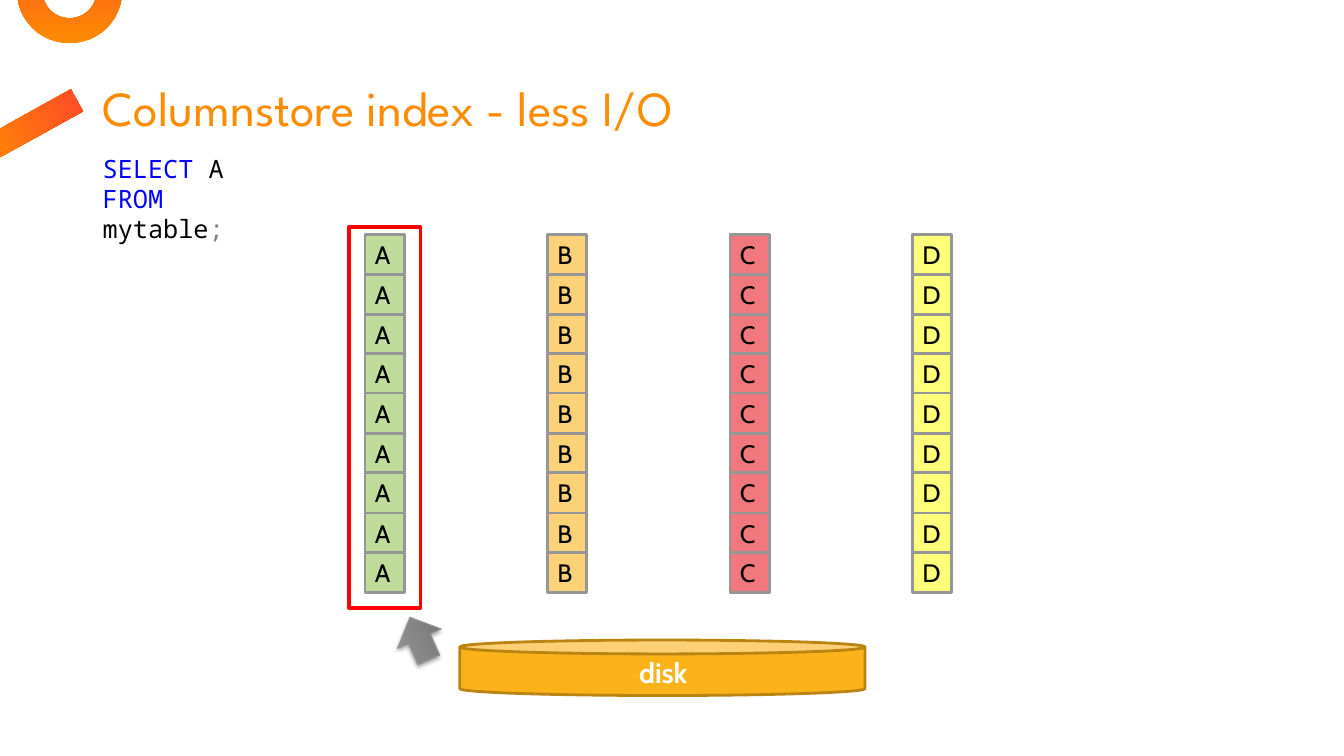
from typing import NamedTuple

from lxml import etree
from pptx import Presentation
from pptx.dml.color import RGBColor
from pptx.enum.shapes import MSO_SHAPE as Preset
from pptx.enum.text import MSO_ANCHOR as Anchor, MSO_AUTO_SIZE as AutoSize, PP_ALIGN as Align
from pptx.oxml import parse_xml
from pptx.oxml.ns import nsdecls
from pptx.shapes.autoshape import Shape
from pptx.shapes.shapetree import GroupShapes, SlideShapes
from pptx.slide import Slide
from pptx.text.text import Font
from pptx.util import Emu, Pt

PX = 9144  # 100 px to the inch
COLORS = {
    "orange": "FF8C00", "flame": "FF4B28",
    "green": "C0DC9B", "apricot": "FDD175", "rose": "F1797E", "yellow": "FFFF79",
    "cell line": "969696", "highlight": "FF0000",
    "disk": "FCB219", "disk line": "BA8412",
    "arrow dark": "707070", "arrow light": "919191", "arrow line": "939393",
    "black": "000000", "white": "FFFFFF", "keyword": "0000FF", "symbol": "808080",
}
BODY_FONT, TITLE_FONT, CODE_FONT = "Cabin", "League Spartan", "Noto Sans Mono"
ROWS, FIRST_TOP, LAST_TOP = 9, 233, 548
CELL_WIDTH, CELL_HEIGHT = 39, 40
FIRST_LEFT, COLUMN_STEP = 362, 181


class Box(NamedTuple):
    left: int
    top: int
    width: int
    height: int

    def emu(self) -> list[Emu]:
        return [Emu(length * PX) for length in self]


class Column(NamedTuple):
    letter: str
    color: str


class Span(NamedTuple):
    text: str
    color: str


COLUMNS = [Column("A", "green"), Column("B", "apricot"),
           Column("C", "rose"), Column("D", "yellow")]
QUERY = [
    [Span("SELECT", "keyword"), Span(" A", "black")],
    [Span("FROM ", "keyword"), Span("mytable", "black"), Span(";", "symbol")],
]


def rgb(name: str) -> RGBColor:
    return RGBColor.from_string(COLORS[name])


def style_font(font: Font, name: str, size: int, color: str) -> None:
    font.name, font.size = name, Pt(size)
    font.color.rgb = rgb(color)


def add_preset(shapes: SlideShapes | GroupShapes, preset: Preset, box: Box,
               fill: str = "", line: str = "", weight: float = 2) -> Shape:
    """Add a shape without shadow; an empty colour name means no fill or no line."""
    shape = shapes.add_shape(preset, *box.emu())
    shape.shadow.inherit = False
    if fill:
        shape.fill.solid()
        shape.fill.fore_color.rgb = rgb(fill)
    else:
        shape.fill.background()
    if line:
        shape.line.color.rgb = rgb(line)
        shape.line.width = Pt(weight)
    else:
        shape.line.fill.background()
    return shape


def fill_upward(shape: Shape, bottom: str, top: str, end: float = 1) -> None:
    """Blend two colours from the bottom of the unrotated shape to its top."""
    shape.fill.gradient()
    shape.fill.gradient_angle = 90
    for stop, color, position in zip(shape.fill.gradient_stops, (bottom, top), (0, end)):
        stop.color.rgb = rgb(color)
        stop.position = position


def add_decoration(slide: Slide) -> None:
    ring = add_preset(slide.shapes, Preset.DONUT, Box(17, -61, 104, 104))
    ring.adjustments[0] = 0.24
    bar = add_preset(slide.shapes, Preset.RECTANGLE, Box(17, 72, 25, 107))
    bar.rotation = 61
    for shape in (ring, bar):
        fill_upward(shape, "orange", "flame")


def set_title(slide: Slide) -> None:
    title = slide.shapes.title
    title.left, title.top, title.width, title.height = Box(92, 53, 1150, 88).emu()
    frame = title.text_frame
    frame.text = "Columnstore index - less I/O"
    frame.vertical_anchor = Anchor.BOTTOM
    frame.auto_size = AutoSize.NONE
    para = frame.paragraphs[0]
    para.alignment = Align.LEFT
    para.line_spacing = 0.9
    style_font(para.font, TITLE_FONT, 35, "orange")


def add_disk(slide: Slide) -> None:
    shapes = slide.shapes.add_group_shape().shapes
    add_preset(shapes, Preset.CAN, Box(456, 635, 402, 55), "disk", "disk line")
    frame = shapes.add_textbox(*Box(624, 645, 79, 44).emu()).text_frame
    frame.word_wrap = True
    frame.text = "disk"
    font = frame.paragraphs[0].font
    style_font(font, BODY_FONT, 20, "white")
    font.bold = True


def add_column(slide: Slide, column: Column, left: int) -> None:
    shapes = slide.shapes.add_group_shape().shapes
    for row in range(ROWS):
        top = round(FIRST_TOP + row * (LAST_TOP - FIRST_TOP) / (ROWS - 1))
        cell = add_preset(shapes, Preset.RECTANGLE,
                          Box(left, top, CELL_WIDTH, CELL_HEIGHT), column.color, "cell line")
        frame = cell.text_frame
        frame.vertical_anchor = Anchor.TOP
        frame.text = column.letter
        para = frame.paragraphs[0]
        para.alignment = Align.LEFT
        style_font(para.font, BODY_FONT, 18, "black")


def add_arrow(slide: Slide) -> None:
    arrow = add_preset(slide.shapes, Preset.RIGHT_ARROW, Box(393, 610, 46, 47),
                       line="arrow line", weight=0.75)
    arrow.rotation = 246.1
    fill_upward(arrow, "arrow dark", "arrow light", 0.8)
    effects = arrow._element.spPr.find("{*}effectLst")
    shadow = parse_xml(
        f'<a:outerShdw {nsdecls("a")} blurRad="{Pt(3.1)}" dist="{Pt(1.8)}" '
        'dir="5400000" rotWithShape="0"/>')
    color = etree.SubElement(shadow, "{%s}srgbClr" % shadow.nsmap["a"], val=COLORS["black"])
    etree.SubElement(color, "{%s}alpha" % shadow.nsmap["a"], val="35000")
    effects.append(shadow)


def add_query(slide: Slide) -> None:
    frame = slide.shapes.add_textbox(*Box(92, 147, 210, 71).emu()).text_frame
    frame.word_wrap = True
    for index, spans in enumerate(QUERY):
        para = frame.add_paragraph() if index else frame.paragraphs[0]
        for span in spans:
            run = para.add_run()
            run.text = span.text
            style_font(run.font, CODE_FONT, 18, span.color)


def main() -> None:
    deck = Presentation()
    deck.slide_width, deck.slide_height = Emu(1333 * PX), Emu(750 * PX)
    slide = deck.slides.add_slide(deck.slide_layouts.get_by_name("Title Only"))
    add_decoration(slide)
    set_title(slide)
    add_disk(slide)
    for index, column in enumerate(COLUMNS):
        add_column(slide, column, FIRST_LEFT + index * COLUMN_STEP)
    add_preset(slide.shapes, Preset.RECTANGLE, Box(346, 225, 71, 378),
               line="highlight", weight=2.5)
    add_arrow(slide)
    add_query(slide)
    deck.save("out.pptx")


if __name__ == "__main__":
    main()
